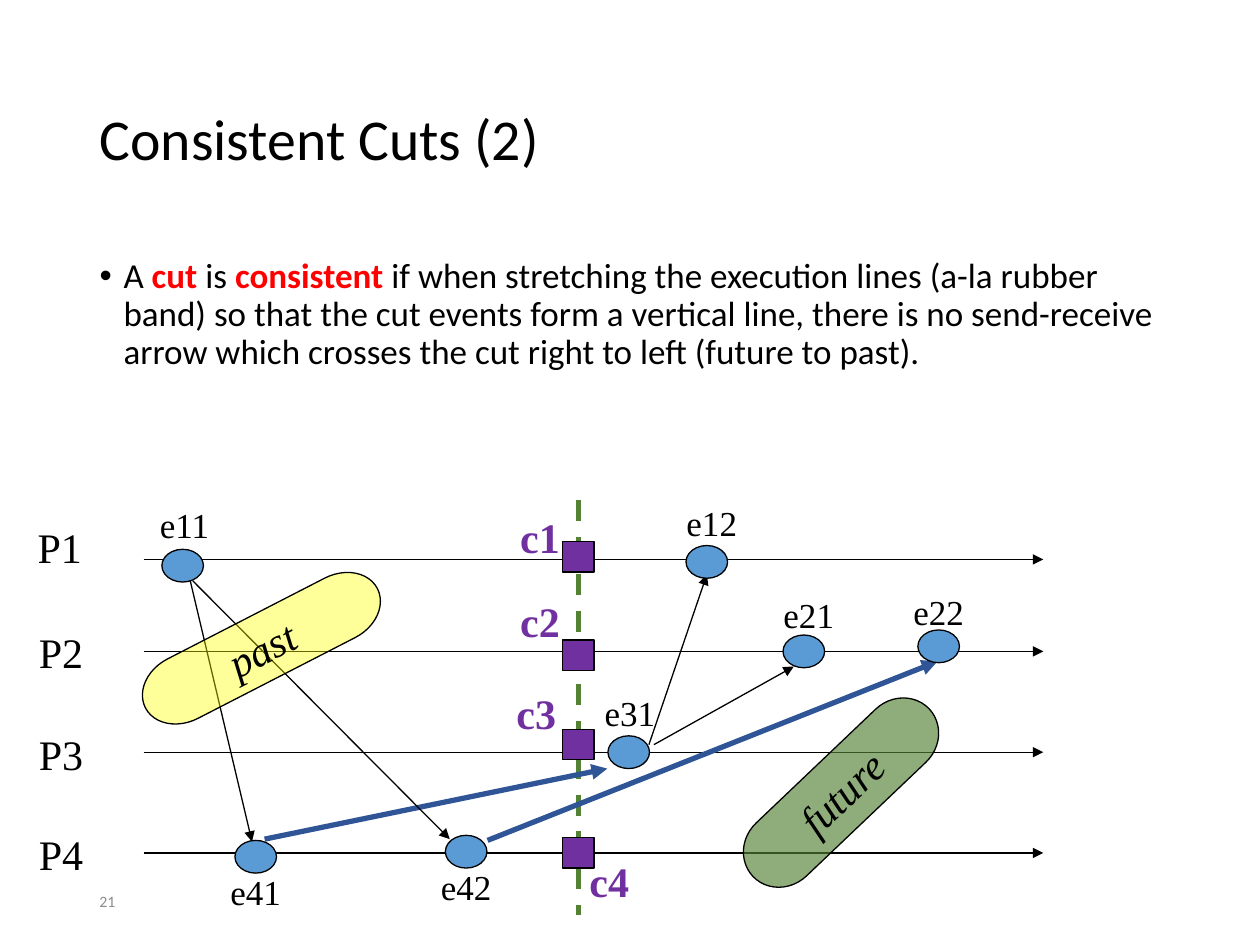
import pptx
import pptx.util
import pptx.dml.color
import pptx.enum.dml
import pptx.enum.shapes
import pptx.enum.text
import pptx.oxml
import pptx.oxml.ns
import lxml.etree

SHAPE = pptx.enum.shapes.MSO_SHAPE
ALIGN = pptx.enum.text.PP_ALIGN
ANCHOR = pptx.enum.text.MSO_ANCHOR
IN, PT = pptx.util.Inches, pptx.util.Pt
BLACK, RED, PURPLE, BLUE, NAVY, GREEN, YELLOW, GREY = (
    "000000", "FF0000", "7030A0", "5B9BD5", "2F5597", "548235", "FFFF00", "8C8C8C")
SANS, SERIF = "Calibri", "Times New Roman"

TITLE = "Consistent Cuts (2)"
BODY = [("A ", False), ("cut ", True), ("is ", False), ("consistent ", True),
        ("if when stretching the execution lines (a-la rubber band) so that the cut "
         "events form a vertical line, there is no send-receive arrow which crosses "
         "the cut right to left (future to past).", False)]
LINE_START, LINE_END, CUT_X = 1.14, 8.28, 4.59
# name, line height, label left and top
PROCESSES = [("P1", 4.44, 0.2, 4.09), ("P2", 5.17, 0.21, 4.92),
             ("P3", 5.97, 0.21, 5.73), ("P4", 6.77, 0.21, 6.53)]
# name, centre height, label left and top
CUT_EVENTS = [("c1", 4.42, 4.03, 4.01), ("c2", 5.2, 4.03, 4.68),
              ("c3", 5.91, 4, 5.41), ("c4", 6.77, 4.58, 6.74)]
# name, centre, label left and top
EVENTS = [("e41", 2.03, 6.8, 1.73, 6.86), ("e42", 3.7, 6.76, 3.4, 6.82),
          ("e22", 7.45, 5.13, 7.15, 4.64), ("e21", 6.38, 5.17, 6.12, 4.66),
          ("e12", 5.61, 4.46, 5.35, 3.93), ("e11", 1.45, 4.49, 1.17, 3.95),
          ("e31", 4.99, 5.97, 4.7, 5.44)]
# start, end, crosses the cut
MESSAGES = [((1.47, 4.44), (2, 6.68), False), ((2.1, 6.66), (4.82, 6.1), True),
            ((5.15, 5.91), (5.61, 4.56), False), ((5.19, 5.91), (6.3, 5.29), False),
            ((1.53, 4.61), (3.57, 6.66), False), ((3.87, 6.67), (7.44, 5.25), True)]
# text, box, rotation, fill, opacity in percent
ZONES = [("past", (1.04, 4.88, 2.07, 0.53), 332.8, YELLOW, 40),
         ("future", (5.71, 6, 1.93, 0.58), 316.4, GREEN, 65)]


def rgb(value):
    return pptx.dml.color.RGBColor.from_string(value)


def add_run(p, text, size=24, font=SERIF, color=BLACK, bold=False, italic=False):
    r = p.add_run()
    r.text = text
    r.font.size, r.font.name = PT(size), font
    r.font.bold, r.font.italic = bold, italic
    r.font.color.rgb = rgb(color)


def add_label(slide, text, box, anchor=ANCHOR.TOP, wrap=False, **fmt):
    tf = slide.shapes.add_textbox(*map(IN, box)).text_frame
    tf.word_wrap, tf.vertical_anchor = wrap, anchor
    add_run(tf.paragraphs[0], text, **fmt)


def add_line(slide, start, end, color=BLACK, width=0.75, arrow=True):
    sp = slide.shapes.add_connector(pptx.enum.shapes.MSO_CONNECTOR.STRAIGHT,
                                    *map(IN, (*start, *end)))
    sp.line.color.rgb, sp.line.width = rgb(color), PT(width)
    if arrow:
        tail = lxml.etree.SubElement(sp.line._get_or_add_ln(),
                                     pptx.oxml.ns.qn("a:tailEnd"))
        tail.set("type", "triangle")
    lxml.etree.SubElement(sp._element.spPr, pptx.oxml.ns.qn("a:effectLst"))
    return sp


def add_shape(slide, kind, box, fill):
    sp = slide.shapes.add_shape(kind, *map(IN, box))
    sp.shadow.inherit = False
    sp.fill.solid()
    sp.fill.fore_color.rgb = rgb(fill)
    sp.line.color.rgb, sp.line.width = rgb(BLACK), PT(0.75)
    return sp


def add_marker(slide, kind, x, y, w, h, fill):
    """Add a small shape centred on x, y."""
    add_shape(slide, kind, (x - w / 2, y - h / 2, w, h), fill)


def place(sp, box, anchor):
    """Move a placeholder and return its first paragraph."""
    sp.left, sp.top, sp.width, sp.height = map(IN, box)
    tf = sp.text_frame
    tf.auto_size = pptx.enum.text.MSO_AUTO_SIZE.NONE
    tf.vertical_anchor, tf.word_wrap = anchor, True
    p = tf.paragraphs[0]
    p.alignment, p.line_spacing, p.space_before = ALIGN.LEFT, 0.9, PT(0)
    return p


def add_texts(slide):
    p = place(slide.shapes.title, (0.69, 0.4, 8.62, 1.45), ANCHOR.MIDDLE)
    add_run(p, TITLE, size=33, font=SANS)
    p = place(slide.placeholders[1], (0.69, 2, 8.62, 4.76), ANCHOR.TOP)
    pPr = p._p.get_or_add_pPr()
    pPr.set("marL", str(IN(0.19)))
    pPr.set("indent", str(IN(-0.19)))
    for tag, key, value in (("a:buFont", "typeface", "Arial"), ("a:buChar", "char", "•")):
        lxml.etree.SubElement(pPr, pptx.oxml.ns.qn(tag)).set(key, value)
    for text, key_term in BODY:
        add_run(p, text, size=20, font=SANS, color=RED if key_term else BLACK,
                bold=key_term)
    add_label(slide, "21", (0.69, 6.95, 2.25, 0.4), anchor=ANCHOR.MIDDLE, wrap=True,
              size=9, font=SANS, color=GREY)


def add_diagram(slide):
    cut = add_line(slide, (CUT_X, 3.97), (CUT_X, 7.26), GREEN, 3, arrow=False)
    cut.line.dash_style = pptx.enum.dml.MSO_LINE.DASH
    for name, y, left, top in PROCESSES:
        add_line(slide, (LINE_START, y), (LINE_END, y))
        add_label(slide, name, (left, top, 0.55, 0.5))
    for start, end, crosses in MESSAGES:
        add_line(slide, start, end, *((NAVY, 3) if crosses else (BLACK, 0.75)))
    for name, y, left, top in CUT_EVENTS:
        add_marker(slide, SHAPE.RECTANGLE, CUT_X, y, 0.25, 0.24, PURPLE)
        add_label(slide, name, (left, top, 0.52, 0.5), color=PURPLE, bold=True)
    for name, x, y, left, top in EVENTS:
        add_marker(slide, SHAPE.OVAL, x, y, 0.33, 0.26, BLUE)
        add_label(slide, name, (left, top, 0.6, 0.43), size=20)
    for text, box, rotation, fill, opacity in ZONES:
        sp = add_shape(slide, SHAPE.FLOWCHART_TERMINATOR, box, fill)
        sp.rotation = rotation
        color = sp._element.spPr.find(".//" + pptx.oxml.ns.qn("a:srgbClr"))
        lxml.etree.SubElement(color, pptx.oxml.ns.qn("a:alpha")).set(
            "val", str(opacity * 1000))
        tf = sp.text_frame
        tf.word_wrap, tf.vertical_anchor = False, ANCHOR.MIDDLE
        tf.paragraphs[0].alignment = ALIGN.CENTER
        add_run(tf.paragraphs[0], text, italic=True)


def main():
    prs = pptx.Presentation()
    prs.slide_width, prs.slide_height = IN(10), IN(7.5)
    slide = prs.slides.add_slide(prs.slide_layouts[1])
    add_texts(slide)
    add_diagram(slide)
    prs.save("out.pptx")


if __name__ == "__main__":
    main()
